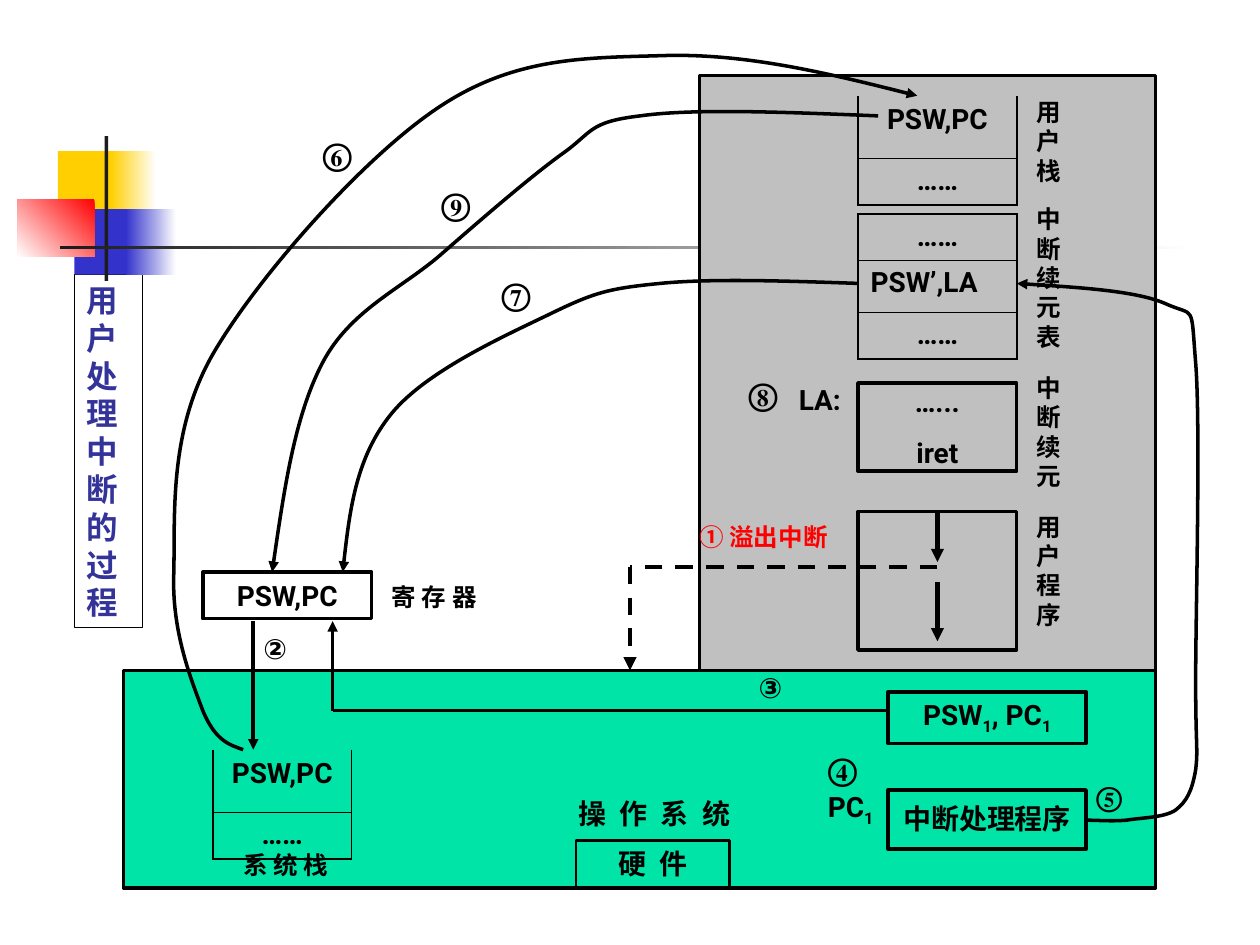
from dataclasses import dataclass
from lxml import etree
from pptx import Presentation
from pptx import util as u
from pptx.dml.color import RGBColor
from pptx.enum import dml, shapes, text
from pptx.oxml import ns

COLORS = {"ink": "000000", "gray": "C0C0C0", "green": "00E4A8", "red": "FF0000",
          "title": "333399", "yellow": "FFCF01", "blue": "3333CC",
          "bar": "1C1C1C", "white": "FFFFFF"}
HANZI, LATIN, SERIF = "Noto Sans CJK SC", "Roboto", "Times New Roman"
COLUMNS, ROWS = 100, 75
BOX_INSETS = (1, 0.5, 1, 0.5)
CENTER, LEFT = text.PP_ALIGN.CENTER, text.PP_ALIGN.LEFT


def grid(cells):
    return u.Inches(cells / 10)


def color(name):
    return RGBColor.from_string(COLORS[name])


@dataclass
class Region:
    slide: object
    left: float
    top: float
    width: float
    height: float

    def point(self, column, row):
        return grid(self.left + column), grid(self.top + row)

    def frame(self, column, row, width, height):
        return (*self.point(column, row), grid(width), grid(height))


def child(parent, tag, **attributes):
    return etree.SubElement(parent, ns.qn(tag), **attributes)


def write(frame, content, size=16, font=LATIN, ink="ink", align=LEFT,
          insets=(0, 0, 0, 0), gap=0, spread=0):
    frame.word_wrap = True
    frame.auto_size = text.MSO_AUTO_SIZE.NONE
    frame.vertical_anchor = text.MSO_ANCHOR.TOP
    frame.margin_left, frame.margin_top, frame.margin_right, frame.margin_bottom = map(grid, insets)
    for index, line in enumerate(content.split("\n")):
        paragraph = frame.add_paragraph() if index else frame.paragraphs[0]
        paragraph.alignment = align
        paragraph.space_before = u.Pt(gap if index else 0)
        has_hanzi = any("一" <= letter <= "鿿" for letter in line)
        if has_hanzi:
            paragraph.line_spacing = u.Pt(size * 1.2)
        for part in line.split("|"):
            run = paragraph.add_run()
            run.text = part.lstrip("_")
            run.font.size, run.font.bold, run.font.name = u.Pt(size), True, font
            run.font.color.rgb = color(ink)
            properties = run._r.get_or_add_rPr()
            child(properties, "a:ea", typeface=HANZI if has_hanzi else font)
            if part.startswith("_"):
                properties.set("baseline", "-25000")
            if spread:
                properties.set("spc", str(spread * 100))


def label(region, box, content, **style):
    shape = region.slide.shapes.add_textbox(*region.frame(*box))
    write(shape.text_frame, content, **style)


def rectangle(region, box, fill=None, line=2, content=None, insets=BOX_INSETS, **style):
    shape = region.slide.shapes.add_shape(shapes.MSO_SHAPE.RECTANGLE, *region.frame(*box))
    shape.shadow.inherit = False
    if fill:
        shape.fill.solid()
        shape.fill.fore_color.rgb = color(fill)
    else:
        shape.fill.background()
    if line:
        shape.line.color.rgb, shape.line.width = color("ink"), u.Pt(line)
    else:
        shape.line.fill.background()
    if content:
        write(shape.text_frame, content, align=CENTER, insets=insets, **style)
    return shape


def fade(region, box, start, end, angle=180):
    shape = rectangle(region, box, line=None)
    shape.fill.gradient()
    shape.fill.gradient_angle = angle
    for stop, name in zip(shape.fill.gradient_stops, (start, end)):
        stop.color.rgb = color(name)


def ink_line(shape, width, head):
    shape.line.color.rgb, shape.line.width = color("ink"), u.Pt(width)
    if head:
        child(shape.line._get_or_add_ln(), "a:tailEnd", type="triangle")


def connect(region, start, end, width=2, head=True, dashed=False):
    shape = region.slide.shapes.add_connector(
        shapes.MSO_CONNECTOR.STRAIGHT, *region.point(*start), *region.point(*end))
    if dashed:
        shape.line.dash_style = dml.MSO_LINE.DASH
    ink_line(shape, width, head)
    child(shape._element.spPr, "a:effectLst")


def curve(region, points):
    start, *rest = [region.point(*point) for point in points]
    builder = region.slide.shapes.build_freeform(*start)
    builder.add_line_segments(rest, close=False)
    shape = builder.convert_to_shape()
    shape.shadow.inherit = False
    shape.fill.background()
    ink_line(shape, 2, True)
    segments = list(shape._element.iter(ns.qn("a:lnTo")))
    for first in range(0, len(segments), 3):
        bezier = child(segments[first].getparent(), "a:cubicBezTo")
        for segment in segments[first:first + 3]:
            bezier.append(segment[0])
            segment.getparent().remove(segment)


def stack(region, left, top, width, rows, open_top=False):
    heights = [height for height, content, align in rows]
    shape = region.slide.shapes.add_table(
        len(rows), 1, *region.frame(left, top, width, sum(heights)))
    table = shape.table
    table.first_row = table.horz_banding = False
    for index, (height, content, align) in enumerate(rows):
        table.rows[index].height = grid(height)
        cell = table.cell(index, 0)
        cell.fill.background()
        if content:
            write(cell.text_frame, content, align=align)
        cell.margin_left = cell.margin_right = grid(1)
        cell.margin_top = cell.margin_bottom = grid(0.5)
        top_width = 0.45 if index else 0 if open_top else 1.08
        bottom_width = 1.08 if index == len(rows) - 1 else 0.45
        edges = {"L": 1.08, "R": 1.08, "T": top_width, "B": bottom_width}
        for place, (edge, points) in enumerate(edges.items()):
            border = etree.Element(ns.qn(f"a:ln{edge}"), w=str(u.Pt(points)))
            if points:
                child(child(border, "a:solidFill"), "a:srgbClr", val=COLORS["ink"])
            else:
                child(border, "a:noFill")
            cell._tc.get_or_add_tcPr().insert(place, border)


def draw_ornament(region):
    rectangle(region, (3.2, 1.2, 4.8, 5.2), "yellow", None)
    fade(region, (7.4, 1.2, 3.6, 5.2), "white", "yellow")
    rectangle(region, (4.5, 5.8, 4.6, 5.2), "blue", None)
    fade(region, (8.6, 5.8, 4, 5.2), "white", "blue")
    fade(region, (0, 5, 6.1, 4.6), "red", "white", 225)
    rectangle(region, (6.9, 0, 0.3, 11.5), "bar", None)
    fade(region, (3.4, 8.7, 90, 0.3), "white", "bar")


def draw_title(region):
    title = region.slide.shapes.title
    title.left, title.top, title.width, title.height = region.frame(0, 0, region.width, region.height)
    title.line.color.rgb, title.line.width = color("ink"), u.Pt(0.75)
    write(title.text_frame, "\n".join("用户处理中断的过程"), size=18, font=SERIF,
          ink="title", insets=BOX_INSETS)


def draw_user_space(region):
    rectangle(region, (0, 0, region.width, region.height), "gray")
    stack(region, 12.6, 1.6, 12.6, [(5, "", CENTER), (3.7, "……", CENTER)], True)
    stack(region, 12.6, 11, 12.6,
          [(3.7, "……", CENTER), (4.1, "PSW’,LA", LEFT), (3.7, "……", CENTER)])
    rectangle(region, (12.6, 24.4, 12.6, 7), content="…...\niret",
              insets=(0.6, 0.1, 0.6, 0.1), gap=10)
    rectangle(region, (12.6, 34.6, 12.6, 11))
    label(region, (7.9, 24.4, 3.9, 2.7), "LA:")
    for top, name in ((1.7, "用户栈"), (10.2, "中断续元表"), (23.6, "中断续元"), (34.6, "用户程序")):
        label(region, (26.8, top, 3.1, 2.34 * len(name)), "\n".join(name), size=14, font=SERIF)
    for start, end in ((34.6, 38.6), (40.2, 44.9)):
        connect(region, (18.9, start), (18.9, end), 2.5)
    connect(region, (18.9, 39), (-5.5, 39), 2.5, False, True)
    connect(region, (-5.5, 39), (-5.5, 47.2), 2.5, True, True)
    label(region, (0, 35.4, 11.8, 2.3), "① 溢出中断", size=14, font=SERIF, ink="red")
    label(region, (13.4, 1.6, 11, 3.7), "PSW,PC", align=CENTER, insets=BOX_INSETS)


def draw_system(region):
    rectangle(region, (0, 0, region.width, region.height), "green")
    rectangle(region, (35.9, 13.5, 12.2, 3.7), line=1.5, content="硬 件", font=HANZI, spread=2)
    label(region, (32.3, 10, 19.7, 2.7), "操 作 系 统", font=HANZI, align=CENTER, spread=2)
    rectangle(region, (60.7, 9.5, 15.7, 4.7), content="中断处理程序", font=SERIF,
              insets=(1, 0.9, 1, 0.5))
    rectangle(region, (60.7, 1.7, 15.7, 4.1), content="PSW|_1|, PC|_1")
    label(region, (55.9, 9.5, 4.7, 3), "PC|_1")
    label(region, (9.5, 14.3, 7.1, 2.3), "系 统 栈", size=14, font=SERIF)
    stack(region, 7.1, 6.3, 11, [(5, "", CENTER), (3.7, "……", CENTER)], True)
    label(region, (7.1, 6.3, 11, 3.7), "PSW,PC", align=CENTER, insets=BOX_INSETS)
    connect(region, (10.3, -3.9), (10.3, 6.3))
    connect(region, (60.7, 3.2), (16.6, 3.2), head=False)
    connect(region, (16.6, 3.2), (16.6, -3.9))


def draw_register(region):
    rectangle(region, (0, 0, 13.4, region.height), content="PSW,PC")
    label(region, (15, 0.8, 7.1, 2.3), "寄 存 器", size=14, font=SERIF)


def draw_flows(region):
    curve(region, [(68.1, 22.5), (62.3, 22.3), (56.4, 22.1), (52.4, 22.5), (48.3, 22.9),
                   (47.2, 23.2), (43.7, 24.9), (40.2, 26.6), (33.9, 29.4), (31.1, 32.8),
                   (28.3, 36.2), (27.7, 40.8), (27.2, 45.4)])
    curve(region, [(69.7, 9.2), (62.3, 8.9), (55, 8.6), (50.8, 9.2), (46.6, 9.7),
                   (47.1, 10.5), (44.5, 12.3), (41.9, 14.2), (38.2, 17.4), (35, 20.2),
                   (31.9, 22.9), (27.8, 24.6), (25.6, 28.8), (23.4, 33), (22.5, 39.2), (21.6, 45.4)])
    curve(region, [(19.3, 59.5), (18.2, 59.1), (17.1, 58.8), (16.1, 56.4), (15.2, 54),
                   (13.6, 50.1), (13.8, 45.4), (13.9, 40.7), (13.4, 34.2), (16.9, 28.1),
                   (20.5, 21.9), (29, 12.3), (35, 8.4), (41.1, 4.4), (46.8, 4.6),
                   (53.1, 4.4), (59.4, 4.3), (66.1, 5.9), (72.8, 7.6)])
    curve(region, [(86.2, 65.1), (87.2, 65.1), (88.2, 65.2), (89.4, 65.1), (90.6, 64.9),
                   (92.4, 64.9), (93.3, 64.3), (94.2, 63.6), (94.6, 62.8), (94.9, 61.1),
                   (95.1, 59.4), (94.9, 59.4), (94.9, 54), (94.9, 48.7), (95.3, 33.8),
                   (94.9, 28.8), (94.5, 23.9), (94.9, 25.2), (92.5, 24.1), (90.2, 23.1),
                   (85.4, 22.8), (80.7, 22.5)])
    for number, left, top, size, font in (
            ("②", 20.9, 50.1, 16, LATIN), ("③", 60.2, 53.2, 16, LATIN),
            ("④", 65.7, 59.5, 18, SERIF), ("⑤", 87, 61.9, 16, SERIF),
            ("⑥", 25.6, 10.7, 18, SERIF), ("⑦", 39.8, 21.8, 18, SERIF),
            ("⑧", 59.4, 29.8, 18, SERIF), ("⑨", 35, 14.7, 18, SERIF)):
        label(region, (left, top, 3.2, 3), number, size=size, font=font)


def main():
    presentation = Presentation()
    presentation.slide_width, presentation.slide_height = grid(COLUMNS), grid(ROWS)
    slide = presentation.slides.add_slide(presentation.slide_layouts[5])
    draw_ornament(Region(slide, 1.4, 10.8, 94, 11.5))
    draw_title(Region(slide, 5.9, 21.8, 5.4, 28))
    draw_user_space(Region(slide, 55.5, 6, 36.2, 47.2))
    draw_system(Region(slide, 9.8, 53.2, 81.9, 17.3))
    draw_register(Region(slide, 16.1, 45.4, 22.1, 3.7))
    draw_flows(Region(slide, 0, 0, COLUMNS, ROWS))
    presentation.save("out.pptx")


if __name__ == "__main__":
    main()
